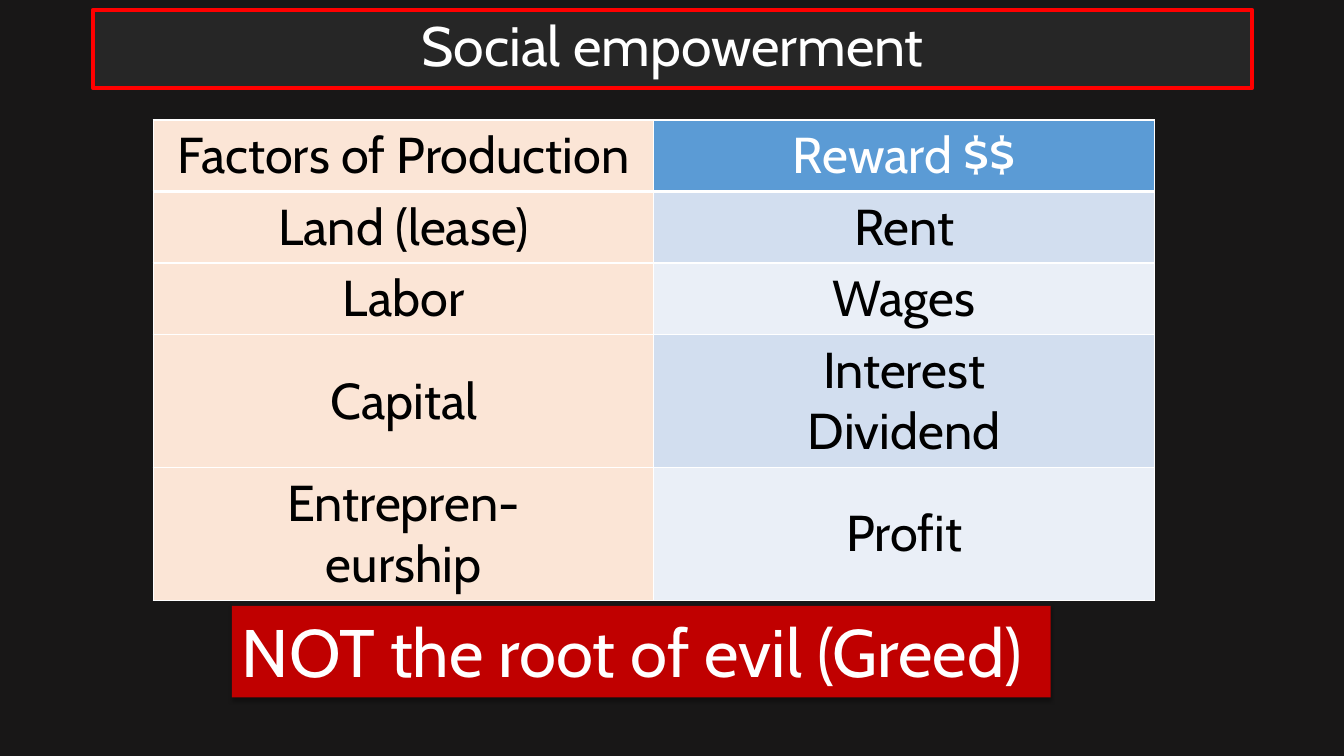
from dataclasses import dataclass

from lxml.etree import SubElement
from pptx import Presentation
from pptx.dml.color import RGBColor
from pptx.enum.shapes import MSO_SHAPE
from pptx.enum.text import MSO_ANCHOR as Anchor, PP_ALIGN as Align
from pptx.oxml import parse_xml
from pptx.oxml.ns import nsdecls, qn
from pptx.util import Inches, Pt


@dataclass(frozen=True)
class Theme:
    font: str = "Cabin"
    background: str = "181717"
    title_fill: str = "262626"
    title_line: str = "FF0000"
    light: str = "FFFFFF"
    dark: str = "000000"
    factor_fill: str = "FBE5D6"
    reward_header: str = "5B9BD5"
    reward_bands: tuple = ("D2DEEF", "EAEFF7")
    banner_fill: str = "C00000"
    title_size: float = 39.6
    table_size: float = 36
    banner_size: float = 48


THEME = Theme()

ROWS = [
    ("Factors of Production", "Reward $$"),
    ("Land (lease)", "Rent"),
    ("Labor", "Wages"),
    ("Capital", "Interest\nDividend"),
    ("Entrepren-\neurship", "Profit"),
]
ONE_LINE, TWO_LINES = 0.71, 1.31


def paint(fill, color):
    fill.solid()
    fill.fore_color.rgb = RGBColor.from_string(color)


def style_text(text_frame, size, color, align):
    for paragraph in text_frame.paragraphs:
        paragraph.alignment = align
        paragraph.font.name = THEME.font
        paragraph.font.size = Pt(size)
        paragraph.font.bold = False
        paragraph.font.color.rgb = RGBColor.from_string(color)


def place(shape, box):
    shape.left, shape.top, shape.width, shape.height = map(Inches, box)


def add_title(slide, box, text):
    title = slide.shapes.title
    place(title, box)
    # Slightly rounded outline
    title._element.spPr.append(parse_xml(
        f'<a:prstGeom {nsdecls("a")} prst="roundRect"><a:avLst>'
        '<a:gd name="adj" fmla="val 2000"/></a:avLst></a:prstGeom>'))
    paint(title.fill, THEME.title_fill)
    paint(title.line.fill, THEME.title_line)
    title.line.width = Pt(3)
    title.text_frame.text = text
    title.text_frame.vertical_anchor = Anchor.MIDDLE
    title.text_frame.paragraphs[0].line_spacing = 0.9
    style_text(title.text_frame, THEME.title_size, THEME.light, Align.CENTER)


def add_borders(cell, bottom_width):
    properties = cell._tc.get_or_add_tcPr()
    for side in ("L", "R", "T", "B"):
        width = bottom_width if side == "B" else 1
        line = SubElement(properties, qn(f"a:ln{side}"), w=str(Pt(width)))
        SubElement(SubElement(line, qn("a:solidFill")), qn("a:srgbClr"), val=THEME.light)


def cell_fill(row, column):
    if column == 0:
        return THEME.factor_fill
    return THEME.reward_bands[(row - 1) % 2] if row else THEME.reward_header


def add_factor_table(slide, box, rows):
    table = slide.shapes.add_table(len(rows), len(rows[0]), *map(Inches, box)).table
    for row, texts in enumerate(rows):
        tall = any("\n" in text for text in texts)
        table.rows[row].height = Inches(TWO_LINES if tall else ONE_LINE)
        for column, text in enumerate(texts):
            cell = table.cell(row, column)
            cell.text = text
            cell.vertical_anchor = Anchor.MIDDLE
            add_borders(cell, 1 if row else 3)
            paint(cell.fill, cell_fill(row, column))
            color = THEME.light if (row, column) == (0, 1) else THEME.dark
            style_text(cell.text_frame, THEME.table_size, color, Align.CENTER)


def add_banner(slide, box, text):
    banner = slide.shapes.add_shape(MSO_SHAPE.RECTANGLE, *map(Inches, box))
    paint(banner.fill, THEME.banner_fill)
    banner.line.fill.background()
    # Soft shadow straight below
    banner.shadow.inherit = False
    effects = banner._element.spPr.find(qn("a:effectLst"))
    shadow = SubElement(effects, qn("a:outerShdw"), blurRad=str(Pt(3.1)),
                        dist=str(Pt(1.8)), dir="5400000", rotWithShape="0")
    color = SubElement(shadow, qn("a:srgbClr"), val=THEME.dark)
    SubElement(color, qn("a:alpha"), val="35000")
    banner.text_frame.text = text
    banner.text_frame.word_wrap = True
    banner.text_frame.vertical_anchor = Anchor.TOP
    style_text(banner.text_frame, THEME.banner_size, THEME.light, Align.LEFT)


def main():
    presentation = Presentation()
    presentation.slide_width = Inches(13.33)
    presentation.slide_height = Inches(7.5)
    slide = presentation.slides.add_slide(presentation.slide_layouts[5])
    paint(slide.background.fill, THEME.background)

    add_title(slide, (0.92, 0.1, 11.5, 0.77), "Social empowerment")
    add_factor_table(slide, (1.52, 1.19, 9.93, 4.75), ROWS)
    add_banner(slide, (2.3, 6.01, 8.12, 0.91), "NOT the root of evil (Greed)")
    presentation.save("out.pptx")


if __name__ == "__main__":
    main()
